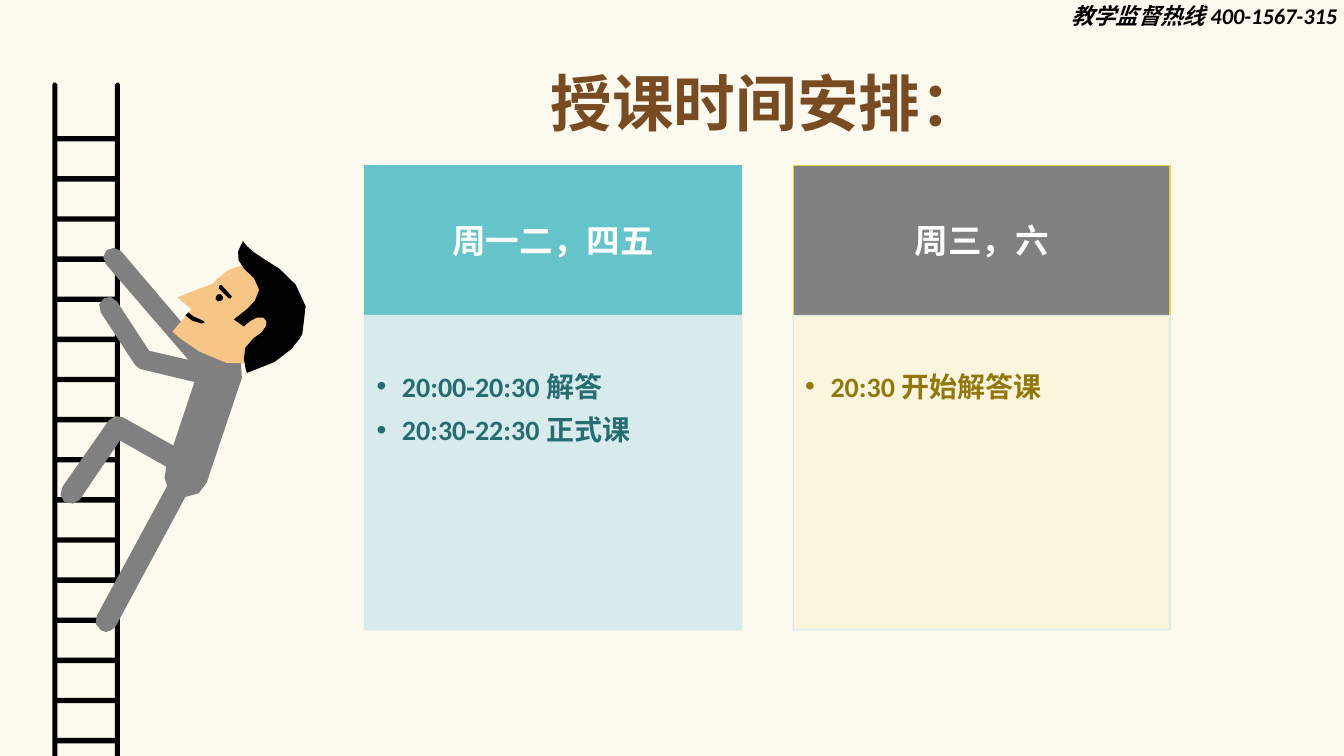
from dataclasses import dataclass
from lxml.etree import SubElement
from pptx import Presentation
from pptx.dml.color import RGBColor as RGB
from pptx.enum.text import MSO_ANCHOR as Anchor, MSO_AUTO_SIZE as Auto, PP_ALIGN as Align
from pptx.oxml.ns import qn
from pptx.util import Cm, Pt


@dataclass(frozen=True)
class Theme:
    latin: str = "Calibri"
    asian: str = "Noto Sans CJK SC"
    back: str = "FCF9EF"
    ink: str = "010101"
    black: str = "000000"
    suit: str = "808080"
    skin: str = "F7C586"
    brown: str = "784B23"
    white: str = "FFFFFF"
    teal: str = "65C4CA"
    mist: str = "D3EAEC"
    deep: str = "276C71"
    gold: str = "EECE52"
    cream: str = "FCF5DC"
    olive: str = "92770E"
    title: int = 44
    head: int = 24
    body: int = 20
    note: int = 16


theme = Theme()


def curve(path, steps):
    """Turn corner points and cubic curves (six numbers) into plain points."""
    dots = [path[0]]
    for part in path[1:]:
        if len(part) == 2:
            dots.append(part)
            continue
        x, y = dots[-1]
        a, b, c, d, e, f = part
        for n in range(1, steps + 1):
            t = n / steps
            u = 1 - t
            dots.append((u**3 * x + 3 * u * u * t * a + 3 * u * t * t * c + t**3 * e,
                         u**3 * y + 3 * u * u * t * b + 3 * u * t * t * d + t**3 * f))
    return dots


def style(para, size, color, latin=theme.latin, italic=None):
    for run in para.runs:
        font = run.font
        font.size, font.bold, font.italic = Pt(size), True, italic
        font.name = latin
        font.color.rgb = RGB.from_string(color)
        SubElement(run._r.get_or_add_rPr(), qn("a:ea")).set("typeface", theme.asian)


prs = Presentation()
prs.slide_width, prs.slide_height = Cm(33.87), Cm(19.05)
slide = prs.slides.add_slide(prs.slide_layouts.get_by_name("Comparison"))
slide.background.fill.solid()
slide.background.fill.fore_color.rgb = RGB.from_string(theme.back)
shapes = slide.shapes

# Ladder: one half mirrored, then evenly spaced openings
half = [(114, 135), (114, 84), (116, 82), (118, 82), (119, 84),
        (119, 863), (151, 863), (151, 869), (114, 869), (114, 817)]
ladder = [half + [(171 - x, y) for x, y in reversed(half)]]
for n in range(17):
    top = 140.4 + 39.8 * n
    low = top + 34.5
    ladder.append([(57, top), (114, top), (114, low), (57, low)])

# Climber, in hundredths of an inch
body = [(226, 347), (219, 345, 212, 347, 206, 350), (120, 249),
        (116, 245, 110, 245, 106, 248), (102, 252, 101, 258, 105, 262),
        (187, 357), (148, 348), (116, 299), (113, 294, 107, 293, 103, 296),
        (98, 299, 97, 305, 100, 310), (134, 362), (139, 366),
        (193, 379), (172, 442), (122, 414), (117, 411, 111, 413, 108, 417),
        (62, 483), (59, 488, 59, 494, 64, 498), (69, 501, 76, 500, 79, 496),
        (119, 437), (165, 463), (162, 471, 163, 478, 166, 482), (96, 611),
        (93, 616, 95, 622, 100, 625), (105, 627),
        (109, 627, 113, 624, 115, 621), (184, 493),
        (194, 493, 202, 488, 205, 479), (240, 375), (244, 363, 238, 351, 226, 347)]
face = [(212, 281), (215, 277), (232, 259, 261, 257, 279, 274),
        (302, 295, 303, 322, 286, 341), (238, 395, 171, 329, 171, 329),
        (190, 307), (176, 295)]
hair = [(242, 309), (242, 309, 268, 291, 252, 276), (236, 262, 231, 255, 241, 239),
        (241, 239, 245, 247, 262, 257), (279, 266, 316, 291, 300, 331),
        (300, 331, 289, 359, 245, 370), (245, 370, 235, 345, 251, 336),
        (265, 328, 268, 318, 261, 315), (253, 312, 242, 324, 242, 324), (232, 317)]
eye = [(216, 292), (214, 293, 214, 295, 214, 297), (215, 299, 218, 300, 220, 298),
       (221, 298, 222, 295, 221, 294), (220, 292, 218, 291, 216, 292)]
brow = [(218, 283), (217, 286), (227, 296), (229, 296), (230, 294), (220, 283)]
mouth = [(203, 320), (201, 318), (194, 316, 189, 312, 187, 310),
         (184, 313), (188, 317, 193, 320, 200, 321)]
art = [(ladder, theme.ink), ([curve(body, 2)], theme.suit),
       ([curve(face, 5)], theme.skin), ([curve(hair, 4)], theme.ink)]
art += [([curve(part, 2)], theme.ink) for part in (eye, brow, mouth)]

unit = Cm(2.54) / 100
for loops, color in art:
    pen = None
    for loop in loops:
        dots = [(x * unit, y * unit) for x, y in loop]
        if pen:
            pen.move_to(*dots[0])
        else:
            pen = shapes.build_freeform(*dots[0])
        pen.add_line_segments(dots[1:], close=True)
    shape = pen.convert_to_shape()
    shape.shadow.inherit = False
    shape.fill.solid()
    shape.fill.fore_color.rgb = RGB.from_string(color)
    shape.line.fill.background()

note = shapes.add_textbox(Cm(26.75), Cm(0), Cm(7.32), Cm(0.99))
note.text_frame.word_wrap = True
note.text_frame.text = "教学监督热线 400-1567-315"
para = note.text_frame.paragraphs[0]
para.line_spacing = 0.9
style(para, theme.note, theme.black, italic=True)

title = shapes.title
title.left, title.top, title.width, title.height = Cm(12.95), Cm(1.5), Cm(11.18), Cm(2.13)
title.text_frame.text = "授课时间安排："
title.text_frame.auto_size = Auto.NONE
style(title.text_frame.paragraphs[0], theme.title, theme.brown, theme.asian)

# Timetable: a heading above a list in each column
cols = [
    ("周一二，四五", ["20:00-20:30 解答", "20:30-22:30 正式课"],
     theme.teal, theme.teal, theme.mist, theme.deep),
    ("周三，六", ["20:30 开始解答课"],
     theme.suit, theme.gold, theme.cream, theme.olive),
]
for n, (name, items, fill, edge, pale, ink) in enumerate(cols):
    head, box = (slide.placeholders[2 * n + k] for k in (1, 2))
    rows = [(head, 4.17, 3.78, fill, edge, [name]),
            (box, 7.95, 7.92, pale, theme.mist, items)]
    for cell, top, tall, tint, rim, lines in rows:
        cell.left, cell.top = Cm(9.19 + 10.8 * n), Cm(top)
        cell.width, cell.height = Cm(9.5), Cm(tall)
        cell.fill.solid()
        cell.fill.fore_color.rgb = RGB.from_string(tint)
        cell.line.color.rgb = RGB.from_string(rim)
        cell.line.width = Pt(1)
        frame = cell.text_frame
        frame.text = "\n".join(lines)
        frame.auto_size = Auto.NONE
        for para in frame.paragraphs:
            para.space_before = Pt(0)

    frame = head.text_frame
    frame.vertical_anchor = Anchor.MIDDLE
    frame.paragraphs[0].alignment = Align.CENTER
    style(frame.paragraphs[0], theme.head, theme.white)

    for tone in box.element.spPr.iter(qn("a:srgbClr")):
        SubElement(tone, qn("a:alpha")).set("val", "90000")
    frame = box.text_frame
    frame.margin_left, frame.margin_right = Cm(0.3), Cm(0.4)
    frame.margin_top = Cm(1.1)
    for para in frame.paragraphs:
        para.line_spacing = 1.3
        props = para._p.get_or_add_pPr()
        props.set("marL", str(Cm(0.64)))
        props.set("indent", str(Cm(-0.64)))
        SubElement(props, qn("a:buChar")).set("char", "•")
        style(para, theme.body, ink)

prs.save("out.pptx")
